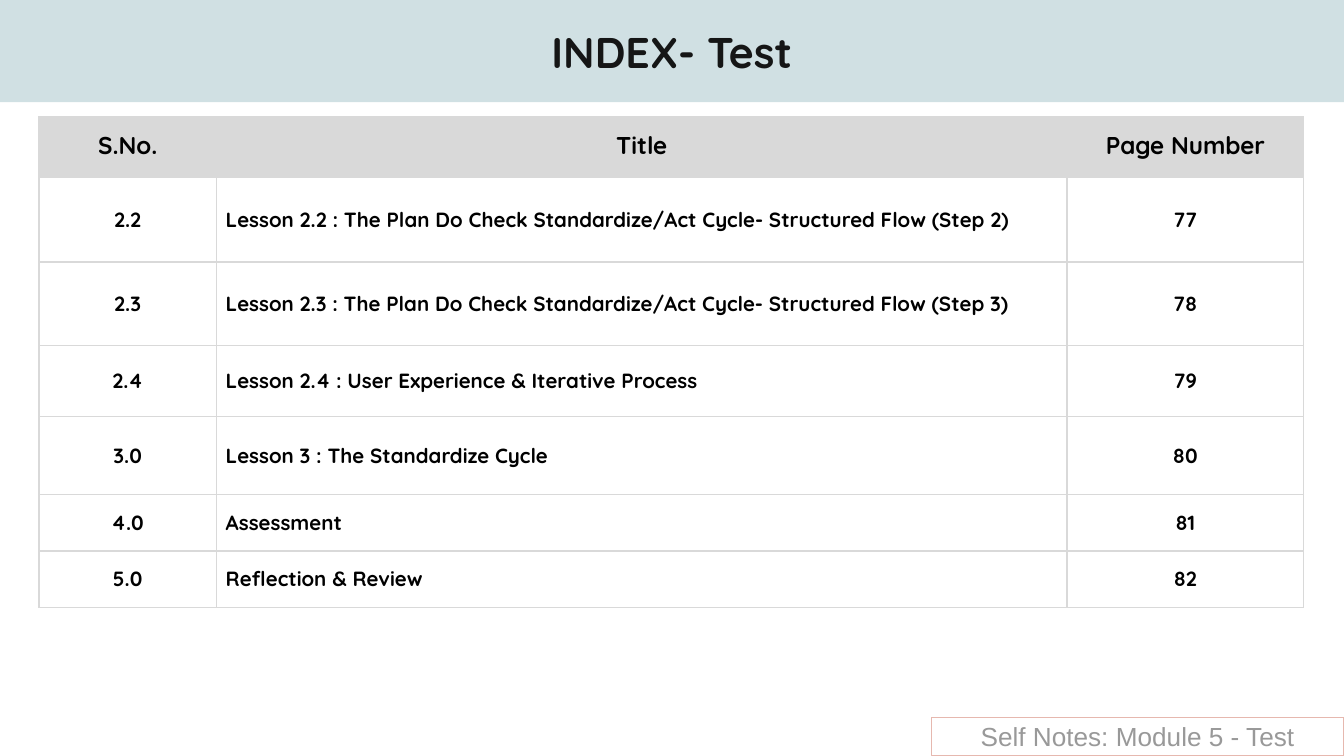
import pptx
import pptx.dml.color
import pptx.enum.shapes
import pptx.enum.text
import pptx.oxml
import pptx.oxml.ns
import pptx.util
from pptx.util import Inches

# Content
HEADING = "INDEX- Test"
FOOTER = "Self Notes: Module 5 - Test"
HEADERS = ("S.No.", "Title", "Page Number")
LESSONS = [
    ("2.2", "Lesson 2.2 : The Plan Do Check Standardize/Act Cycle- Structured Flow (Step 2)"),
    ("2.3", "Lesson 2.3 : The Plan Do Check Standardize/Act Cycle- Structured Flow (Step 3)"),
    ("2.4", "Lesson 2.4 : User Experience & Iterative Process"),
    ("3.0", "Lesson 3 : The Standardize Cycle"),
    ("4.0", "Assessment"),
    ("5.0", "Reflection & Review"),
]
FIRST_PAGE = 77

# Style
COLORS = {"band": "D0E0E3", "heading": "151616", "grid": "D9D9D9",
          "text": "000000", "footer_line": "E6B8AF", "footer": "999999"}
FONT = "Quicksand"
COLUMN_WIDTHS = (1.32, 6.33, 1.76)
ROW_HEIGHTS = (0.45, 0.63, 0.62, 0.53, 0.58, 0.42, 0.42)
CENTER = pptx.enum.text.PP_ALIGN.CENTER
LEFT = pptx.enum.text.PP_ALIGN.LEFT
MIDDLE = pptx.enum.text.MSO_ANCHOR.MIDDLE
TOP = pptx.enum.text.MSO_ANCHOR.TOP


def rgb(name):
    return pptx.dml.color.RGBColor.from_string(COLORS[name])


def write(frame, text, size, color, font=FONT, bold=True, align=CENTER):
    paragraph = frame.paragraphs[0]
    paragraph.alignment = align
    run = paragraph.add_run()
    run.text = text
    run.font.size = pptx.util.Pt(size)
    run.font.name = font
    run.font.bold = bold
    run.font.color.rgb = rgb(color)


def add_box(slide, left, top, width, height, fill=None, line=None):
    box = slide.shapes.add_shape(
        pptx.enum.shapes.MSO_SHAPE.RECTANGLE,
        Inches(left), Inches(top), Inches(width), Inches(height))
    box.shadow.inherit = False
    if fill:
        box.fill.solid()
        box.fill.fore_color.rgb = rgb(fill)
    else:
        box.fill.background()
    if line:
        box.line.color.rgb = rgb(line)
        box.line.width = pptx.util.Pt(0.75)
    else:
        box.line.fill.background()
    frame = box.text_frame
    frame.word_wrap = True
    frame.vertical_anchor = MIDDLE
    frame.margin_left = frame.margin_right = Inches(0.1)
    frame.margin_top = frame.margin_bottom = Inches(0.1)
    return frame


def add_borders(cell):
    properties = cell._tc.get_or_add_tcPr()
    for position, side in enumerate(("lnL", "lnR", "lnT", "lnB")):
        properties.insert(position, pptx.oxml.parse_xml(
            f'<a:{side} {pptx.oxml.ns.nsdecls("a")} w="{pptx.util.Pt(1)}">'
            f'<a:solidFill><a:srgbClr val="{COLORS["grid"]}"/></a:solidFill></a:{side}>'))


def add_index(slide):
    rows = [HEADERS] + [(number, title, str(page)) for page, (number, title)
                        in enumerate(LESSONS, FIRST_PAGE)]
    index = slide.shapes.add_table(
        len(rows), len(HEADERS), Inches(0.29), Inches(0.87),
        Inches(sum(COLUMN_WIDTHS)), Inches(sum(ROW_HEIGHTS))).table
    for column, width in zip(index.columns, COLUMN_WIDTHS):
        column.width = Inches(width)
    for row, height in zip(index.rows, ROW_HEIGHTS):
        row.height = Inches(height)

    for r, texts in enumerate(rows):
        is_header = r == 0
        for c, text in enumerate(texts):
            cell = index.cell(r, c)
            cell.margin_left = cell.margin_right = Inches(0.07)
            cell.margin_top = cell.margin_bottom = Inches(0.1)
            cell.vertical_anchor = TOP if is_header else MIDDLE
            if is_header:
                cell.fill.solid()
                cell.fill.fore_color.rgb = rgb("grid")
            else:
                cell.fill.background()
            add_borders(cell)
            write(cell.text_frame, text, 13 if is_header else 11, "text",
                  align=LEFT if c == 1 and not is_header else CENTER)


def main():
    deck = pptx.Presentation()
    # Widescreen, 16:9
    deck.slide_width = Inches(10)
    deck.slide_height = deck.slide_width * 9 // 16
    slide = deck.slides.add_slide(deck.slide_layouts[6])

    # Heading band
    write(add_box(slide, 0, 0, 10, 0.76, fill="band"), HEADING, 23, "heading")

    # Index table
    add_index(slide)

    # Footer label
    write(add_box(slide, 6.93, 5.34, 3.07, 0.28, line="footer_line"),
          FOOTER, 14, "footer", font="Arial", bold=False)

    deck.save("out.pptx")


if __name__ == "__main__":
    main()
